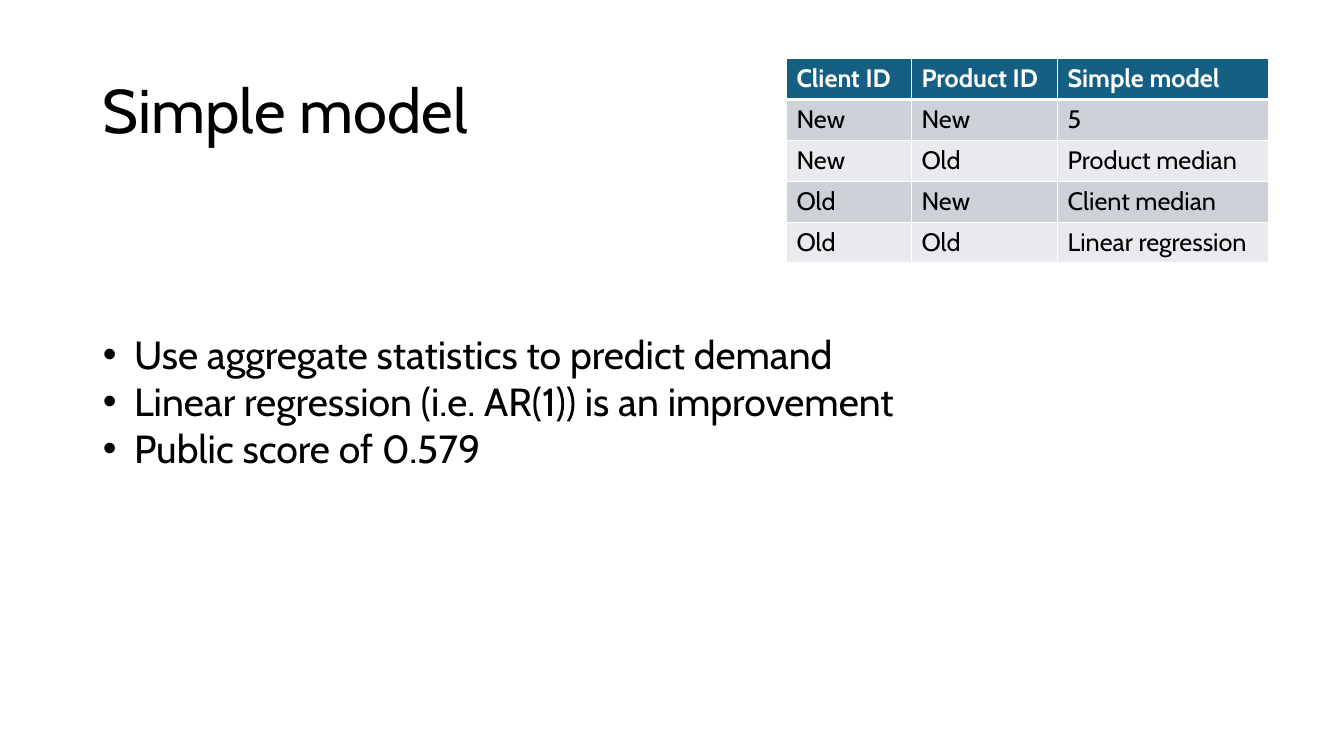
"""Build the slide on the simple model: title, prediction table and bullet list."""
from lxml import etree
from pptx import Presentation
from pptx import util as u
from pptx.dml.color import RGBColor
from pptx.enum import text
from pptx.oxml import ns


def style(p, size, color="000000", bold=False):
    p.font.name = "Cabin"
    p.font.size = u.Pt(size)
    p.font.bold = bold
    p.font.color.rgb = RGBColor.from_string(color)


def add_border(cell, side, width, color="FFFFFF"):
    tc_pr = cell._tc.get_or_add_tcPr()
    ln = etree.SubElement(tc_pr, ns.qn(f"a:ln{side}"), w=str(u.Pt(width)))
    fill = etree.SubElement(ln, ns.qn("a:solidFill"))
    etree.SubElement(fill, ns.qn("a:srgbClr"), val=color)


prs = Presentation()
prs.slide_width, prs.slide_height = u.Inches(13.33), u.Inches(7.5)
s = prs.slides.add_slide(prs.slide_layouts[1])

title = s.shapes.title
title.left, title.top = u.Inches(0.92), u.Inches(0.4)
title.width, title.height = u.Inches(4.78), u.Inches(1.45)
tf = title.text_frame
tf.text = "Simple model"
tf.vertical_anchor = text.MSO_ANCHOR.MIDDLE
tf.auto_size = text.MSO_AUTO_SIZE.NONE
p = tf.paragraphs[0]
p.alignment = text.PP_ALIGN.LEFT
p.line_spacing = 0.9
style(p, 44)

rows = [
    ("Client ID", "Product ID", "Simple model"),
    ("New", "New", "5"),
    ("New", "Old", "Product median"),
    ("Old", "New", "Client median"),
    ("Old", "Old", "Linear regression"),
]
table = s.shapes.add_table(
    len(rows), 3, u.Inches(7.8), u.Inches(0.58), u.Inches(4.78), u.Inches(2.03)
).table
for column, width in zip(table.columns, (1.24, 1.45, 2.09)):
    column.width = u.Inches(width)
for i, row in enumerate(rows):
    header = i == 0
    fill = "156082" if header else ("E8EAED", "CCD2D8")[i % 2]
    for j, value in enumerate(row):
        cell = table.cell(i, j)
        cell.text = value
        style(cell.text_frame.paragraphs[0], 18, "FFFFFF" if header else "000000", header)
        for side in "LRTB":
            under_header = (i, side) in ((0, "B"), (1, "T"))
            add_border(cell, side, 3 if under_header else 1)
        cell.fill.solid()
        cell.fill.fore_color.rgb = RGBColor.from_string(fill)

body = s.placeholders[1]
body.left, body.top = u.Inches(0.92), u.Inches(3.23)
body.width, body.height = u.Inches(8.71), u.Inches(1.51)
tf = body.text_frame
tf.text = "\n".join([
    "Use aggregate statistics to predict demand",
    "Linear regression (i.e. AR(1)) is an improvement",
    "Public score of 0.579",
])
tf.vertical_anchor = text.MSO_ANCHOR.TOP
tf.auto_size = text.MSO_AUTO_SIZE.SHAPE_TO_FIT_TEXT
for p in tf.paragraphs:
    style(p, 28)
    p.space_before = u.Pt(0)
    p_pr = p._p.get_or_add_pPr()
    p_pr.set("marL", str(u.Inches(0.31)))
    p_pr.set("indent", str(-u.Inches(0.31)))
    bullet_font = etree.Element(ns.qn("a:buFont"), typeface="Arial")
    bullet = etree.Element(ns.qn("a:buChar"), char="•")
    p_pr.find(ns.qn("a:defRPr")).addprevious(bullet_font)
    bullet_font.addnext(bullet)

prs.save("out.pptx")
